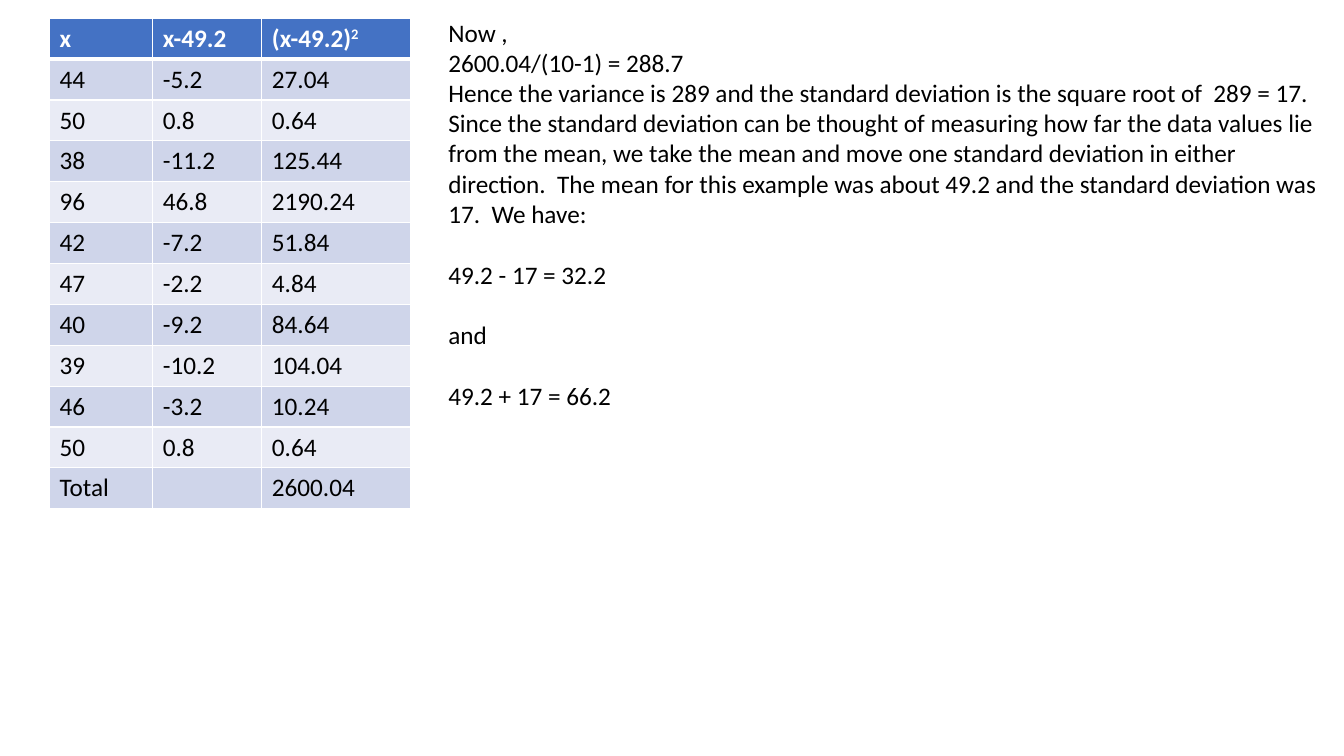
import pptx
import pptx.dml.color
import pptx.enum.text
import pptx.oxml
import pptx.oxml.ns
import pptx.util

Cm = pptx.util.Cm
Pt = pptx.util.Pt

HEADINGS = ["x", "x-49.2", "(x-49.2)^2"]
ROWS = [
    ["44", "-5.2", "27.04"],
    ["50", "0.8", "0.64"],
    ["38", "-11.2", "125.44"],
    ["96", "46.8", "2190.24"],
    ["42", "-7.2", "51.84"],
    ["47", "-2.2", "4.84"],
    ["40", "-9.2", "84.64"],
    ["39", "-10.2", "104.04"],
    ["46", "-3.2", "10.24"],
    ["50", "0.8", "0.64"],
    ["Total", "", "2600.04"],
]
EXPLANATION = [
    "Now ,",
    "2600.04/(10-1) = 288.7",
    "Hence the variance is 289 and the standard deviation is the square root of  289 = 17.",
    "Since the standard deviation can be thought of measuring how far the data values lie "
    "from the mean, we take the mean and move one standard deviation in either direction.  "
    "The mean for this example was about 49.2 and the standard deviation was 17.  We have:",
]
RANGE_STEPS = ["49.2 - 17 = 32.2", "and", "49.2 + 17 = 66.2"]


def color(value):
    return pptx.dml.color.RGBColor.from_string(value)


class SlideBuilder:
    font_name = "Calibri"
    font_size = Pt(18)
    line_gap = Pt(21.8)
    text_color = "000000"
    line_color = "FFFFFF"
    header_fill = "4472C4"
    band_fills = ["E9EBF5", "CFD5EA"]

    def __init__(self, page):
        self.page = page

    def style(self, para, value, bold=False):
        para.font.name = self.font_name
        para.font.size = self.font_size
        para.font.bold = bold
        para.font.color.rgb = color(value)

    def border(self, cell, side, points):
        properties = cell._tc.get_or_add_tcPr()
        properties.append(pptx.oxml.parse_xml(
            f'<a:ln{side} {pptx.oxml.ns.nsdecls("a")} w="{Pt(points)}">'
            f'<a:solidFill><a:srgbClr val="{self.line_color}"/></a:solidFill>'
            f'</a:ln{side}>'))

    def cell(self, cell, text, row):
        header = row == 0
        widths = {"L": 1, "R": 1, "T": 3 if row == 1 else 1, "B": 3 if header else 1}
        for side, points in widths.items():
            self.border(cell, side, points)
        cell.fill.solid()
        cell.fill.fore_color.rgb = color(self.header_fill if header else self.band_fills[row % 2])
        para = cell.text_frame.paragraphs[0]
        self.style(para, self.line_color if header else self.text_color, header)
        base, _, power = text.partition("^")
        if base:
            para.add_run().text = base
        if power:
            span = para.add_run()
            span.text = power
            span.font._element.set("baseline", "30000")

    def table(self, left, top, widths, row_height, rows):
        frame = self.page.shapes.add_table(
            len(rows), len(widths), Cm(left), Cm(top),
            Cm(sum(widths)), Cm(row_height * len(rows)))
        table = frame.table
        for column, width in zip(table.columns, widths):
            column.width = Cm(width)
        for index, values in enumerate(rows):
            table.rows[index].height = Cm(row_height)
            for column, text in enumerate(values):
                self.cell(table.cell(index, column), text, index)

    def text(self, left, top, width, height, lines, spaced_lines):
        box = self.page.shapes.add_textbox(Cm(left), Cm(top), Cm(width), Cm(height))
        frame = box.text_frame
        frame.word_wrap = True
        frame.auto_size = pptx.enum.text.MSO_AUTO_SIZE.NONE
        for index, line in enumerate(lines + spaced_lines):
            para = frame.paragraphs[0] if index == 0 else frame.add_paragraph()
            para.text = line
            para.space_before = self.line_gap if index >= len(lines) else Pt(0)
            self.style(para, self.text_color)


def main():
    deck = pptx.Presentation()
    deck.slide_width = Cm(33.87)
    deck.slide_height = Cm(19.05)
    builder = SlideBuilder(deck.slides.add_slide(deck.slide_layouts[6]))
    builder.table(1.25, 0.46, [2.6, 2.75, 3.74], 1.03, [HEADINGS] + ROWS)
    builder.text(11.05, 0.3, 22.82, 13.34, EXPLANATION, RANGE_STEPS)
    deck.save("out.pptx")


if __name__ == "__main__":
    main()
